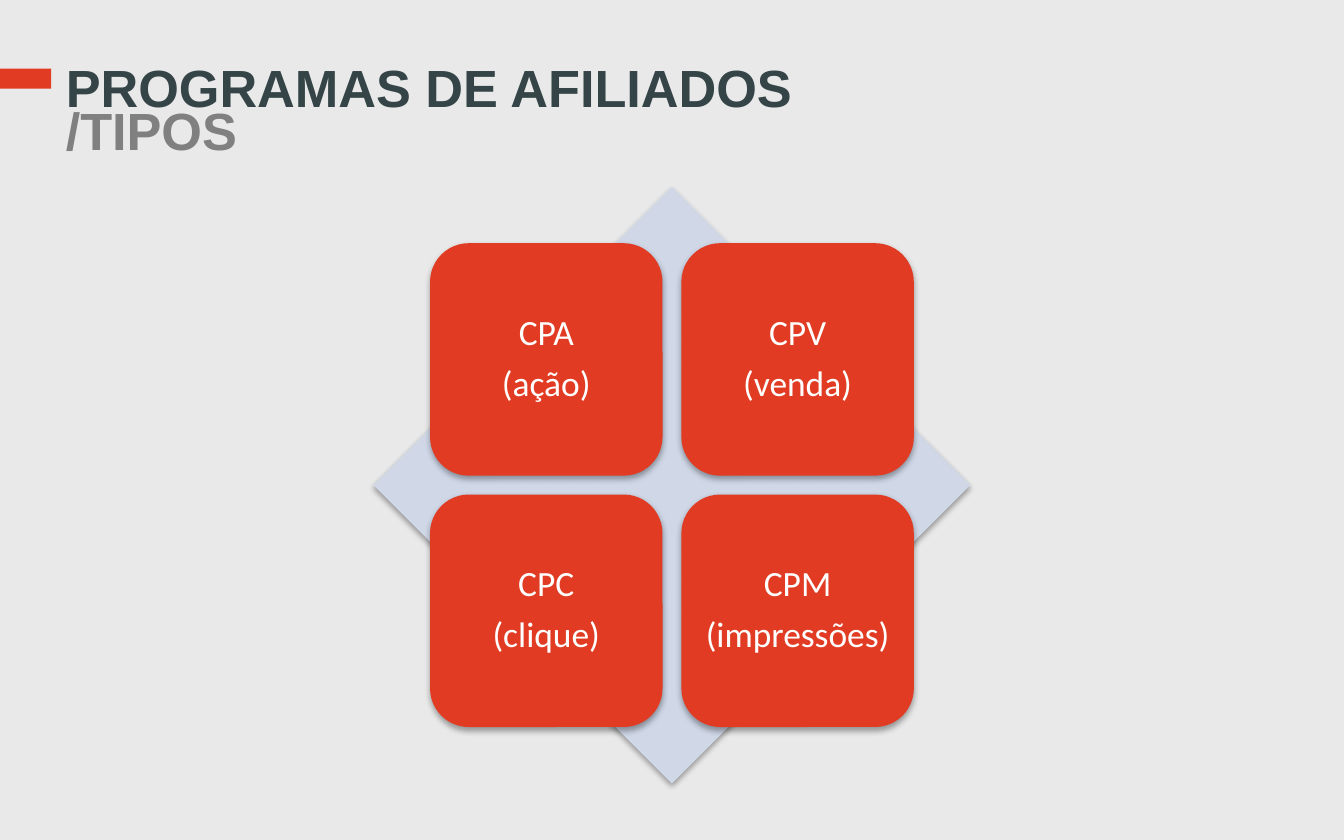
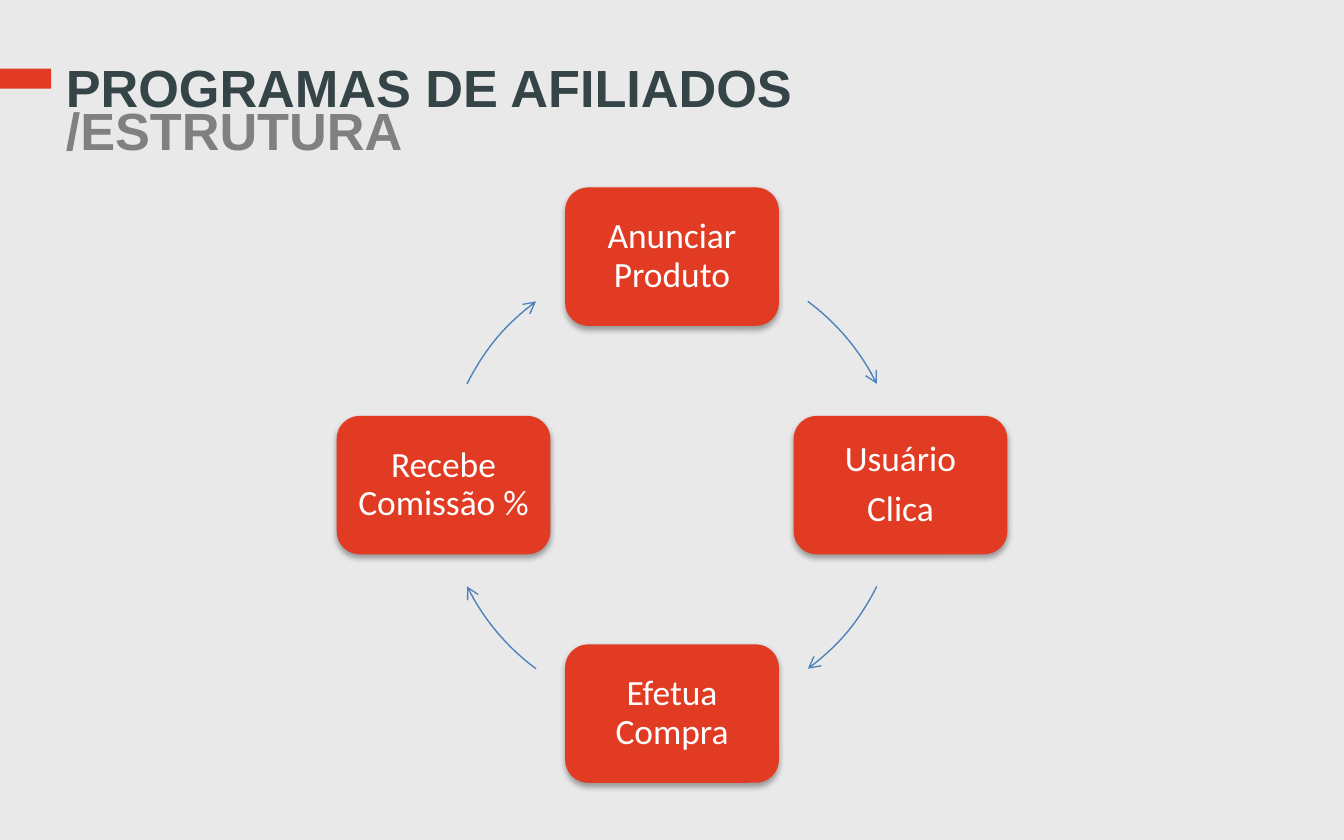
import lxml.etree
import pptx
import pptx.dml.color
import pptx.enum.shapes
import pptx.enum.text
import pptx.oxml
import pptx.oxml.ns
import pptx.util

Inches = pptx.util.Inches
Pt = pptx.util.Pt
SHAPES = pptx.enum.shapes.MSO_SHAPE
ALIGN = pptx.enum.text.PP_ALIGN
ANCHOR = pptx.enum.text.MSO_ANCHOR
qn = pptx.oxml.ns.qn

COLORS = {
    "background": "E9E9E9",
    "accent": "E13C23",
    "title": "344447",
    "subtitle": "808080",
    "diamond": "D0D8E8",
    "arrow": "4F81BD",
    "label": "FFFFFF",
}
CENTER_X, CENTER_Y = 5, 3.61
CARD_MARGIN = Inches(0.08)
SHADOW = (
    f'<a:outerShdw {pptx.oxml.ns.nsdecls("a")} blurRad="40000" dist="23000" '
    'dir="5400000" rotWithShape="0">'
    '<a:srgbClr val="000000"><a:alpha val="35000"/></a:srgbClr></a:outerShdw>'
)


def rgb(name):
    return pptx.dml.color.RGBColor.from_string(COLORS[name])


def add_block(slide, preset, left, top, width, height, color, shadow=True):
    """Add a borderless filled shape, by default with a soft shadow below it."""
    block = slide.shapes.add_shape(
        preset, Inches(left), Inches(top), Inches(width), Inches(height))
    block.fill.solid()
    block.fill.fore_color.rgb = rgb(color)
    block.line.fill.background()
    block.shadow.inherit = False
    if shadow:
        effects = block.element.spPr.find(qn("a:effectLst"))
        effects.append(pptx.oxml.parse_xml(SHADOW))
    return block


def add_card(slide, center_x, center_y, width, height, lines):
    """Add a rounded card with one centred paragraph for each line."""
    card = add_block(slide, SHAPES.ROUNDED_RECTANGLE, center_x - width / 2,
                     center_y - height / 2, width, height, "accent")
    frame = card.text_frame
    frame.word_wrap = True
    frame.vertical_anchor = ANCHOR.MIDDLE
    frame.margin_left = frame.margin_right = CARD_MARGIN
    frame.margin_top = frame.margin_bottom = CARD_MARGIN
    frame.text = "\n".join(lines)
    for index, paragraph in enumerate(frame.paragraphs):
        paragraph.alignment = ALIGN.CENTER
        paragraph.line_spacing = 0.9
        if index:
            paragraph.space_before = Pt(6.65)
        paragraph.font.size = Pt(19)
        paragraph.font.name = "Calibri"
        paragraph.font.color.rgb = rgb("label")


def add_arc_arrow(slide, radius, start, end):
    """Add a clockwise arc around the centre; angles in degrees from the right."""
    arc = slide.shapes.add_shape(
        SHAPES.ARC, Inches(CENTER_X - radius), Inches(CENTER_Y - radius),
        Inches(2 * radius), Inches(2 * radius))
    for index, angle in enumerate((start, end)):
        arc.adjustments[index] = angle * 0.6
    arc.fill.background()
    arc.shadow.inherit = False
    arc.line.color.rgb = rgb("arrow")
    arc.line.width = Pt(0.75)
    line = arc.element.spPr.find(qn("a:ln"))
    lxml.etree.SubElement(line, qn("a:tailEnd"), type="arrow")


def add_titled_slide(prs, layout, topic):
    slide = prs.slides.add_slide(layout)
    title = slide.shapes.title
    title.left, title.top = Inches(0.39), Inches(0.51)
    title.width, title.height = Inches(9), Inches(1.04)
    frame = title.text_frame
    frame.vertical_anchor = ANCHOR.TOP
    frame.auto_size = pptx.enum.text.MSO_AUTO_SIZE.NONE
    paragraph = frame.paragraphs[0]
    paragraph.alignment = ALIGN.LEFT
    paragraph.line_spacing = Pt(23)
    paragraph.font.size = Pt(28)
    paragraph.font.name = "Arial"
    paragraph.font.bold = True
    heading = paragraph.add_run()
    heading.text = "PROGRAMAS DE AFILIADOS"
    heading.font.color.rgb = rgb("title")
    paragraph.add_line_break()
    subtitle = paragraph.add_run()
    subtitle.text = topic
    subtitle.font.color.rgb = rgb("subtitle")
    return slide


def add_types(slide):
    """Four payment models in a grid over a diamond."""
    diamond, card, pitch = 4.44, 1.73, 1.87
    add_block(slide, SHAPES.DIAMOND, CENTER_X - diamond / 2,
              CENTER_Y - diamond / 2, diamond, diamond, "diamond")
    models = [("CPA", "(ação)"), ("CPV", "(venda)"),
              ("CPC", "(clique)"), ("CPM", "(impressões)")]
    for index, lines in enumerate(models):
        row, column = divmod(index, 2)
        add_card(slide, CENTER_X + (column - 0.5) * pitch,
                 CENTER_Y + (row - 0.5) * pitch, card, card, lines)


def add_cycle(slide):
    """Four steps around a circle, clockwise from the top."""
    radius = 1.7
    steps = [
        (0, -1, ["Anunciar Produto"]),
        (1, 0, ["Usuário", "Clica"]),
        (0, 1, ["Efetua Compra"]),
        (-1, 0, ["Recebe Comissão %"]),
    ]
    for across, down, lines in steps:
        add_card(slide, CENTER_X + across * radius, CENTER_Y + down * radius,
                 1.59, 1.03, lines)
    near, far = 26.3, 53.5
    for turn in (0, 180):
        add_arc_arrow(slide, radius, (turn - far) % 360, (turn - near) % 360)
        add_arc_arrow(slide, radius, turn + near, turn + far)


def main():
    prs = pptx.Presentation()
    prs.slide_width, prs.slide_height = Inches(10), Inches(6.25)
    background = prs.slide_master.background.fill
    background.solid()
    background.fore_color.rgb = rgb("background")
    layout = prs.slide_layouts[5]

    types = add_titled_slide(prs, layout, "/TIPOS")
    band = add_block(types, SHAPES.RECTANGLE, -0.01, 0.51, 0.39, 0.15,
                     "accent", shadow=False)
    layout.shapes.element.append(band.element)  # shared by every slide
    add_types(types)

    add_cycle(add_titled_slide(prs, layout, "/ESTRUTURA"))
    prs.save("out.pptx")


if __name__ == "__main__":
    main()
